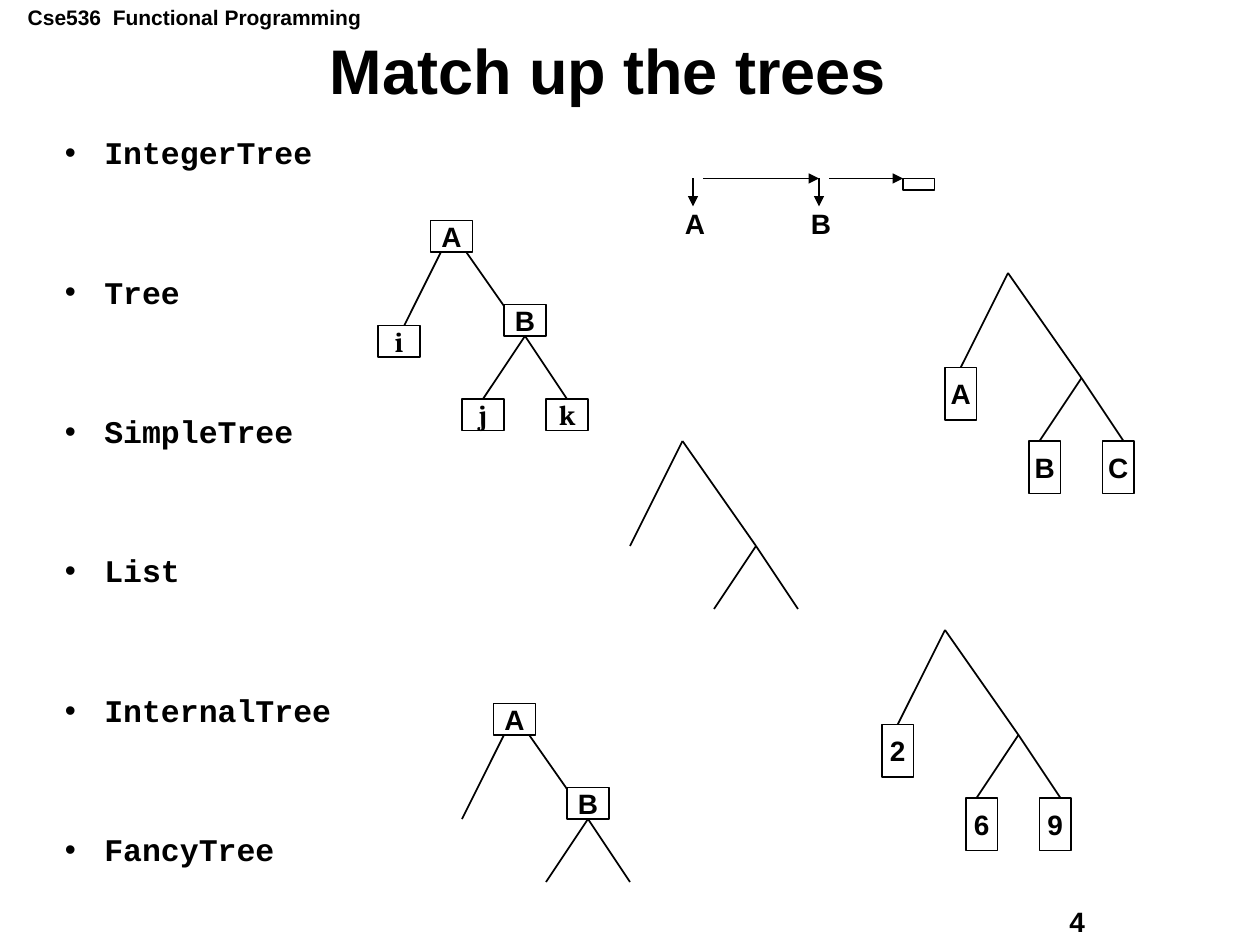
from pptx import Presentation
from pptx.dml.color import RGBColor
from pptx.enum.shapes import MSO_CONNECTOR, MSO_SHAPE
from pptx.enum.text import MSO_ANCHOR, PP_ALIGN
from pptx.oxml.ns import qn
from pptx.util import Pt
from lxml import etree

LINE = MSO_CONNECTOR.STRAIGHT
RECT = MSO_SHAPE.RECTANGLE
MIDDLE = MSO_ANCHOR.MIDDLE
CENTER = PP_ALIGN.CENTER
LEFT = PP_ALIGN.LEFT

BLACK = "000000"
WHITE = "FFFFFF"
SANS, SERIF, MONO = "Arial", "Cambria", "Courier New"

TREE_TYPES = ["IntegerTree", "Tree", "SimpleTree", "List", "InternalTree", "FancyTree"]

# Node positions relative to the root of a tree
ROOT, LEFT_LEAF, INNER = (0, 0), (-30, 60), (42, 60)
INNER_LEFT, INNER_RIGHT = (18, 96), (66, 96)
BRANCHES = [(ROOT, LEFT_LEAF), (ROOT, INNER), (INNER, INNER_LEFT), (INNER, INNER_RIGHT)]

# Box corners relative to the root of a tree
LEAF_SIZE, LEAF_CORNERS = (18, 30), [(-36, 54), (12, 96), (54, 96)]
NODE_SIZE = (24, 18)
NODE_CORNERS = [(-12, -6), (30, 42), (-42, 54), (6, 96), (54, 96)]


def color(value):
    return RGBColor.from_string(value)


def write(tf, text, size, font=SANS, align=LEFT):
    """Put one bold black paragraph into a text frame."""
    tf.text = text
    p = tf.paragraphs[0]
    p.alignment = align
    style_run(p.runs[0], size, font)


def style_run(r, size, font):
    r.font.size = Pt(size)
    r.font.name = font
    r.font.bold = True
    r.font.color.rgb = color(BLACK)


def add_label(shapes, x, y, w, h, text, size):
    sp = shapes.add_textbox(Pt(x), Pt(y), Pt(w), Pt(h))
    sp.text_frame.word_wrap = False
    write(sp.text_frame, text, size)


def add_line(shapes, x1, y1, x2, y2, arrow=False):
    line = shapes.add_connector(LINE, Pt(x1), Pt(y1), Pt(x2), Pt(y2))
    line.line.color.rgb = color(BLACK)
    line.line.width = Pt(1)
    if arrow:
        etree.SubElement(line.line._get_or_add_ln(), qn("a:tailEnd"), type="triangle")
    etree.SubElement(line._element.spPr, qn("a:effectLst"))


def add_box(shapes, x, y, w, h, text="", font=SANS):
    sp = shapes.add_shape(RECT, Pt(x), Pt(y), Pt(w), Pt(h))
    sp.shadow.inherit = False
    sp.fill.solid()
    sp.fill.fore_color.rgb = color(WHITE)
    sp.line.color.rgb = color(BLACK)
    sp.line.width = Pt(1)
    if text:
        tf = sp.text_frame
        tf.word_wrap = False
        tf.vertical_anchor = MIDDLE
        write(tf, text, 16, font, CENTER)


def add_tree(s, x, y, labels=(), corners=(), size=LEAF_SIZE):
    """Draw a tree with its root at x, y and one box for each (text, font) label."""
    shapes = s.shapes.add_group_shape().shapes
    for (x1, y1), (x2, y2) in BRANCHES:
        add_line(shapes, x + x1, y + y1, x + x2, y + y2)
    for (text, font), (dx, dy) in zip(labels, corners):
        add_box(shapes, x + dx, y + dy, *size, text, font)


def add_linked_list(s, x, y):
    shapes = s.shapes.add_group_shape().shapes
    for text, dx, length in [("A", 0, 66), ("B", 72, 42)]:
        add_line(shapes, x + dx, y, x + dx, y + 16, arrow=True)
        add_line(shapes, x + dx + 6, y, x + dx + 6 + length, y, arrow=True)
        add_label(shapes, x + dx - 11.75, y + 12.25, 26, 26.5, text, 16)
    add_box(shapes, x + 120, y, 18, 6.5)


def add_title(s, x, y, w, h):
    sp = s.shapes.title
    sp.left, sp.top, sp.width, sp.height = Pt(x), Pt(y), Pt(w), Pt(h)
    sp.text_frame.vertical_anchor = MIDDLE
    write(sp.text_frame, "Match up the trees", 36, align=CENTER)
    sp.text_frame.paragraphs[0].line_spacing = 0.9


def add_type_list(s, x, y, w, h):
    tf = s.shapes.add_textbox(Pt(x), Pt(y), Pt(w), Pt(h)).text_frame
    tf.word_wrap = True
    tf.text = "\n".join(TREE_TYPES)
    for i, p in enumerate(tf.paragraphs):
        pPr = p._p.get_or_add_pPr()
        pPr.set("marL", str(Pt(22.5)))
        pPr.set("indent", str(-Pt(22.5)))
        etree.SubElement(pPr, qn("a:buFont"), typeface=SANS)
        etree.SubElement(pPr, qn("a:buChar"), char="•")
        p.line_spacing = 0.9
        p.space_before = Pt(60.25 if i else 0)
        style_run(p.runs[0], 18, MONO)


def main():
    prs = Presentation()
    prs.slide_width, prs.slide_height = Pt(720), Pt(540)
    s = prs.slides.add_slide(prs.slide_layouts[5])

    add_label(s.shapes, 8.75, -0.75, 205, 21.5, "Cse536  Functional Programming", 12)
    add_label(s.shapes, 604, 513.5, 91.5, 26, "4", 16)
    add_title(s, 22.5, 22.5, 650, 40)
    add_type_list(s, 30, 75, 315, 429)

    add_linked_list(s, 396, 102)
    for x, y, texts in [(576, 156, "ABC"), (540, 360, "269")]:
        add_tree(s, x, y, [(text, SANS) for text in texts], LEAF_CORNERS)
    add_tree(s, 390, 252)
    inner = [(text, SANS) for text in "AB"]
    leaves = [(text, SERIF) for text in "ijk"]
    add_tree(s, 294, 408, inner, NODE_CORNERS, NODE_SIZE)
    add_tree(s, 258, 132, inner + leaves, NODE_CORNERS, NODE_SIZE)

    prs.save("out.pptx")


if __name__ == "__main__":
    main()
